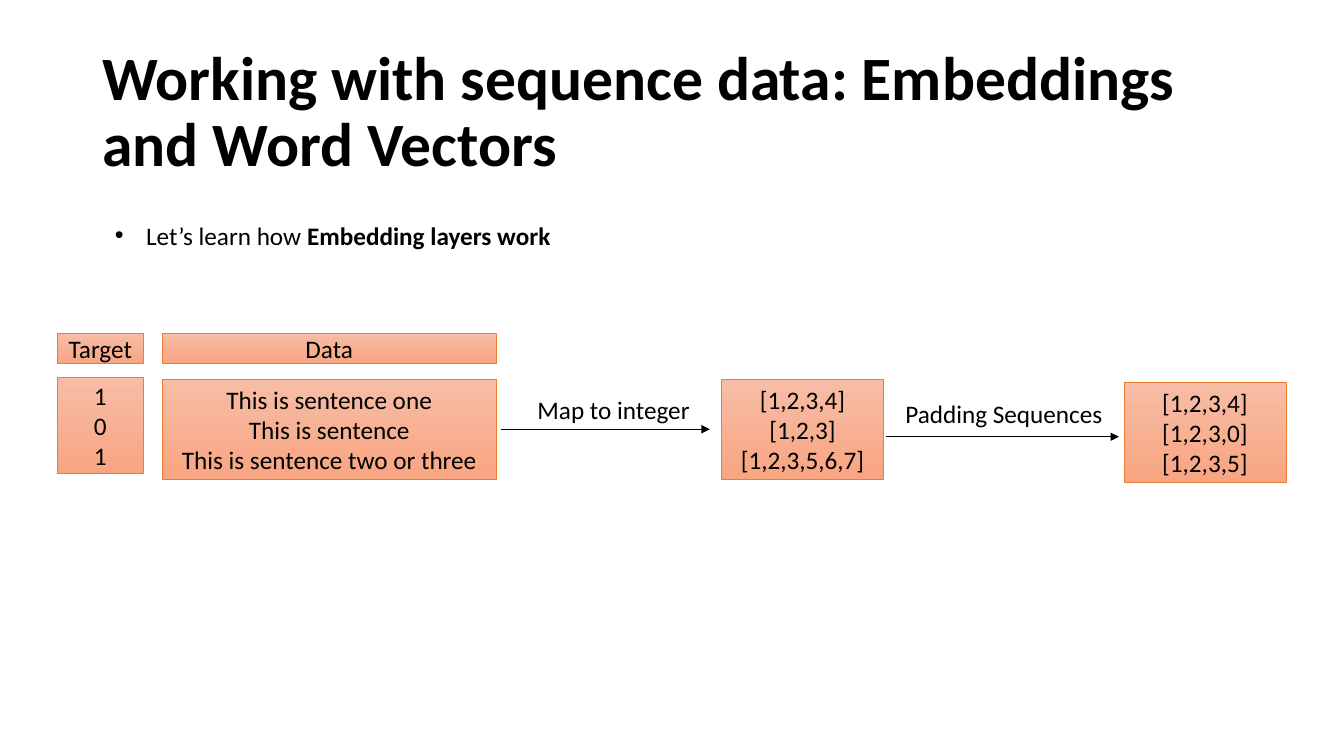
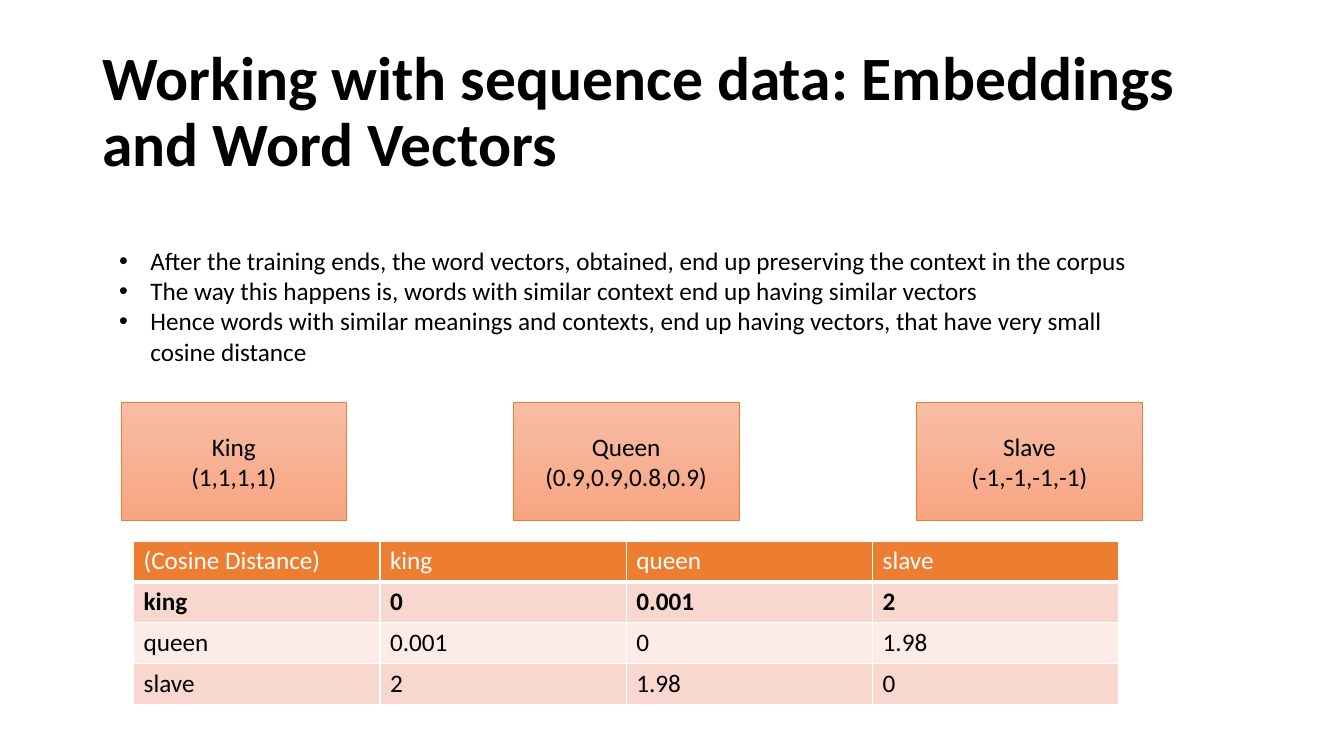
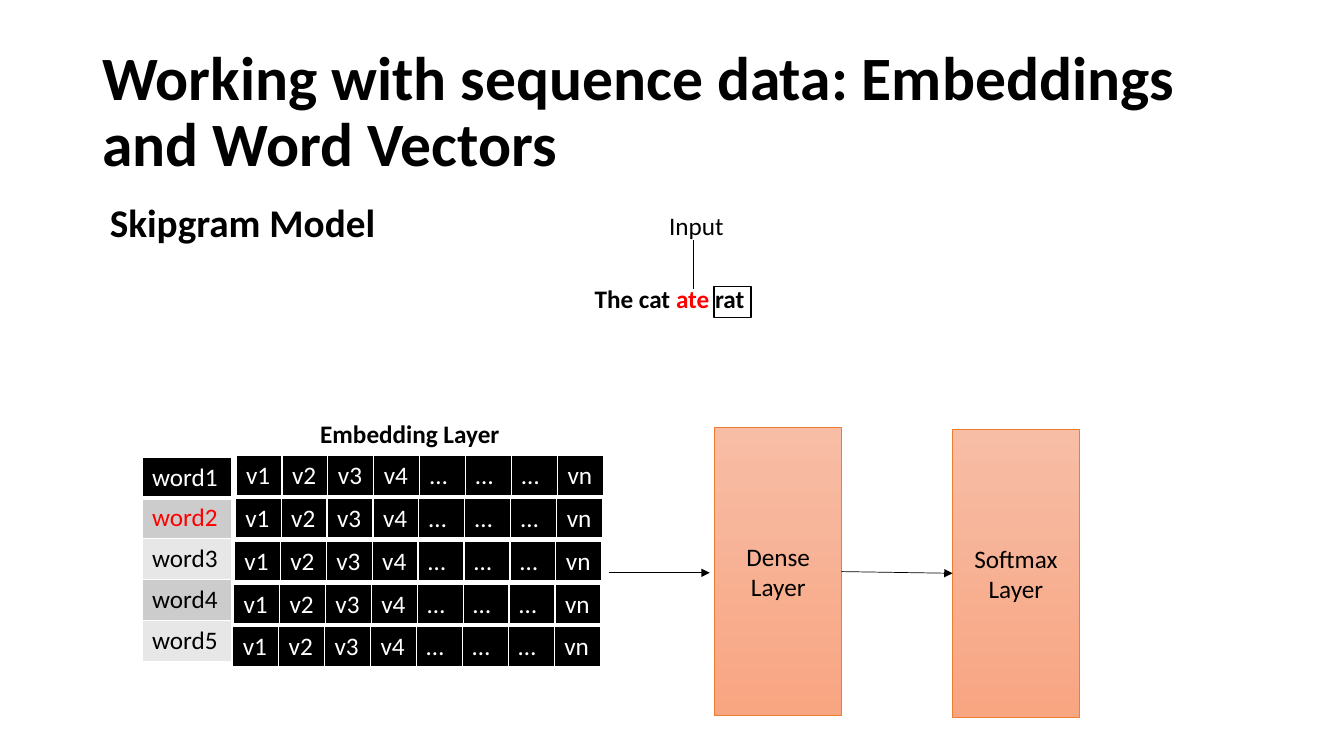
from lxml.etree import SubElement
from pptx import Presentation
from pptx.dml.color import RGBColor
from pptx.enum.shapes import MSO_CONNECTOR, MSO_SHAPE
from pptx.enum.text import MSO_ANCHOR, PP_ALIGN
from pptx.oxml.ns import qn
from pptx.util import Inches, Pt

COLORS = {
    "ink": "000000", "paper": "FFFFFF", "red": "FF0000", "orange": "ED7D31",
    "peach_top": "F7BDA5", "peach_bottom": "F8A582",
    "peach_band": "F8D7CE", "peach_pale": "FCECE8",
    "gray_band": "CCCCCC", "gray_pale": "E7E7E7",
}
FONT = "Calibri"
TITLE = "Working with sequence data: Embeddings and Word Vectors"
COLUMNS, ROWS = 160, 90
TABLE_ROW = 4.87


def rgb(name):
    return RGBColor.from_string(COLORS[name])


class Deck:
    """Style and current slide; lengths are grid columns and rows."""

    def __init__(self):
        self.prs = Presentation()
        self.prs.slide_width = Inches(13.33)
        self.prs.slide_height = Inches(7.5)
        self.shapes = None

    def x(self, columns):
        return round(self.prs.slide_width * columns / COLUMNS)

    def y(self, rows):
        return round(self.prs.slide_height * rows / ROWS)

    def area(self, left, top, width, height):
        return self.x(left), self.y(top), self.x(width), self.y(height)

    def new_slide(self):
        self.shapes = self.prs.slides.add_slide(self.prs.slide_layouts[6]).shapes
        title = self.text([TITLE], 11, 4.8, 138, 17.5, size=44, bold=True)
        title.vertical_anchor = MSO_ANCHOR.MIDDLE
        title.paragraphs[0].line_spacing = 0.9

    def fill_text(self, frame, lines, size=18, bold=False, color="ink",
                  align=PP_ALIGN.LEFT, bullet=False):
        """Each line is a string or a list of (text, overrides) runs."""
        for index, line in enumerate(lines):
            paragraph = frame.add_paragraph() if index else frame.paragraphs[0]
            if bullet:
                props = paragraph._p.get_or_add_pPr()
                props.set("marL", str(Inches(0.31)))
                props.set("indent", str(-Inches(0.31)))
                SubElement(props, qn("a:buFont"), typeface="Arial")
                SubElement(props, qn("a:buChar"), char="•")
            paragraph.alignment = align
            font = paragraph.font
            font.name, font.size, font.bold = FONT, Pt(size), bold
            font.color.rgb = rgb(color)
            for text, own in [(line, {})] if isinstance(line, str) else line:
                run = paragraph.add_run()
                run.text = text
                if "bold" in own:
                    run.font.bold = own["bold"]
                if "color" in own:
                    run.font.color.rgb = rgb(own["color"])

    def text(self, lines, left, top, width, height=4.8, **style):
        frame = self.shapes.add_textbox(*self.area(left, top, width, height)).text_frame
        frame.word_wrap = True
        self.fill_text(frame, lines, **style)
        return frame

    def box(self, lines, left, top, width, height):
        shape = self.shapes.add_shape(MSO_SHAPE.RECTANGLE,
                                      *self.area(left, top, width, height))
        shape.shadow.inherit = False
        shape.fill.gradient()
        shape.fill.gradient_angle = 270
        for stop, name in zip(shape.fill.gradient_stops, ("peach_top", "peach_bottom")):
            stop.color.rgb = rgb(name)
        shape.line.color.rgb = rgb("orange")
        shape.line.width = Pt(0.5)
        shape.text_frame.word_wrap = True
        shape.text_frame.vertical_anchor = MSO_ANCHOR.MIDDLE
        self.fill_text(shape.text_frame, lines, align=PP_ALIGN.CENTER)
        return shape

    def frame(self, left, top, width, height):
        outline = self.shapes.add_shape(MSO_SHAPE.RECTANGLE,
                                        *self.area(left, top, width, height))
        outline.shadow.inherit = False
        outline.fill.background()
        outline.line.color.rgb = rgb("ink")
        outline.line.width = Pt(1)

    def line(self, start, end, arrow=True):
        link = self.shapes.add_connector(
            MSO_CONNECTOR.STRAIGHT, self.x(start[0]), self.y(start[1]),
            self.x(end[0]), self.y(end[1]))
        link.line.color.rgb = rgb("ink")
        link.line.width = Pt(0.5)
        props = link._element.spPr
        if arrow:
            SubElement(props.find(qn("a:ln")), qn("a:tailEnd"), type="triangle")
        SubElement(props, qn("a:effectLst"))
        return link

    def table(self, rows, left, top, column, fills, styles):
        """fills and styles hold one entry per row."""
        table = self.shapes.add_table(
            len(rows), len(rows[0]),
            *self.area(left, top, column * len(rows[0]), TABLE_ROW * len(rows))).table
        table.first_row = table.horz_banding = False
        for grid_column in table.columns:
            grid_column.width = self.x(column)
        for r, values in enumerate(rows):
            table.rows[r].height = self.y(TABLE_ROW)
            for c, value in enumerate(values):
                cell = table.cell(r, c)
                cell.fill.solid()
                cell.fill.fore_color.rgb = rgb(fills[r])
                self.fill_text(cell.text_frame, [value], **styles[r])
                self.borders(cell, top=3 if r == 1 else 1, bottom=1 if r else 3)

    def borders(self, cell, top, bottom):
        props = cell._tc.get_or_add_tcPr()
        sides = {"a:lnL": 1, "a:lnR": 1, "a:lnT": top, "a:lnB": bottom}
        for place, (tag, width) in enumerate(sides.items()):
            edge = SubElement(props, qn(tag), w=str(Pt(width)))
            SubElement(SubElement(edge, qn("a:solidFill")), qn("a:srgbClr"),
                       val=COLORS["paper"])
            props.insert(place, edge)


def embedding_steps(deck):
    deck.new_slide()
    deck.text([[("Let’s learn how ", {}), ("Embedding layers work", {"bold": True})]],
              12.5, 25.6, 129.6, bullet=True)
    # Labelled training data
    for heading, left, width in (("Target", 6.8, 10.3), ("Data", 19.3, 39.8)):
        deck.box([heading], left, 39.7, width, 3.6)
    deck.box(["1", "0", "1"], 6.8, 44.9, 10.3, 11.5)
    deck.box(["This is sentence one", "This is sentence", "This is sentence two or three"],
             19.3, 45.2, 39.8, 11.9)
    # Integer sequences, then padded ones
    deck.line((59.6, 51.1), (84.5, 51.1))
    deck.text(["Map to integer"], 62.8, 46.3, 23.5)
    deck.box(["[1,2,3,4]", "[1,2,3]", "[1,2,3,5,6,7]"], 85.9, 45.2, 19.3, 11.9)
    deck.line((105.5, 52), (133.2, 52))
    deck.text(["Padding Sequences"], 106.6, 46.8, 26.4)
    deck.box(["[1,2,3,4]", "[1,2,3,0]", "[1,2,3,5]"], 133.8, 45.5, 19.3, 11.9)


def cosine_distances(deck):
    deck.new_slide()
    deck.text([
        "After the training ends, the word vectors, obtained, end up preserving "
        "the context in the corpus",
        "The way this happens is, words with similar context end up having similar vectors",
        "Hence words with similar meanings and contexts, end up having vectors, "
        "that have very small cosine distance",
    ], 13, 28.6, 123.1, 19.4, bullet=True)
    # Word vectors
    for word, vector, left in (("King", "(1,1,1,1)", 14.4),
                               ("Queen", "(0.9,0.9,0.8,0.9)", 61.1),
                               ("Slave", "(-1,-1,-1,-1)", 109.1)):
        deck.box([word, vector], left, 47.9, 26.9, 14)
    # Distance of each pair
    deck.table([
        ["(Cosine Distance)", "king", "queen", "slave"],
        ["king", "0", "0.001", "2"],
        ["queen", "0.001", "0", "1.98"],
        ["slave", "2", "1.98", "0"],
    ], 15.9, 64.4, 29.33, ["orange", "peach_band", "peach_pale", "peach_band"],
        [{"color": "paper"}, {"bold": True}, {}, {}])


def skipgram_model(deck):
    deck.new_slide()
    deck.text(["Skipgram Model"], 11.9, 23, 41, 6.8, size=28, bold=True)
    # Input word and its context
    deck.text([[("The cat ", {}), ("ate", {"color": "red"}), (" rat", {})]],
              50.9, 33.2, 57.6, bold=True, align=PP_ALIGN.CENTER)
    deck.line((82.6, 34.4), (82.6, 28.6), arrow=False)
    deck.text(["Input"], 77.6, 24.5, 10.6, align=PP_ALIGN.CENTER)
    deck.frame(85, 34.1, 4.4, 3.7)
    # Embedding layer: words and one vector for each
    deck.text(["Embedding Layer"], 30.7, 49.2, 36.2, bold=True, align=PP_ALIGN.CENTER)
    words = [[f"word{number}"] for number in range(1, 6)]
    deck.table(words, 16.9, 54.4, 10.7,
               ["ink", "gray_band", "gray_pale", "gray_band", "gray_pale"],
               [{"color": "paper"}, {"color": "red"}, {}, {}, {}])
    vector = ["v1", "v2", "v3", "v4", "…", "…", "…", "vn"]
    for step in range(len(words)):
        deck.table([vector], 28.1 - 0.1 * step, 54.25 + 5.09 * step, 5.47,
                   ["ink"], [{"color": "paper"}])
    # Following layers
    deck.line((72.5, 68.2), (84.5, 68.2))
    dense = deck.box(["Dense", "Layer"], 85.1, 50.9, 15.1, 34.3)
    softmax = deck.box(["Softmax", "Layer"], 113.4, 51.1, 15.1, 34.3)
    link = deck.line((100.2, 68.2), (113.4, 68.2))
    link.begin_connect(dense, 3)
    link.end_connect(softmax, 1)


def main():
    deck = Deck()
    for build in (embedding_steps, cosine_distances, skipgram_model):
        build(deck)
    deck.prs.save("out.pptx")


if __name__ == "__main__":
    main()
